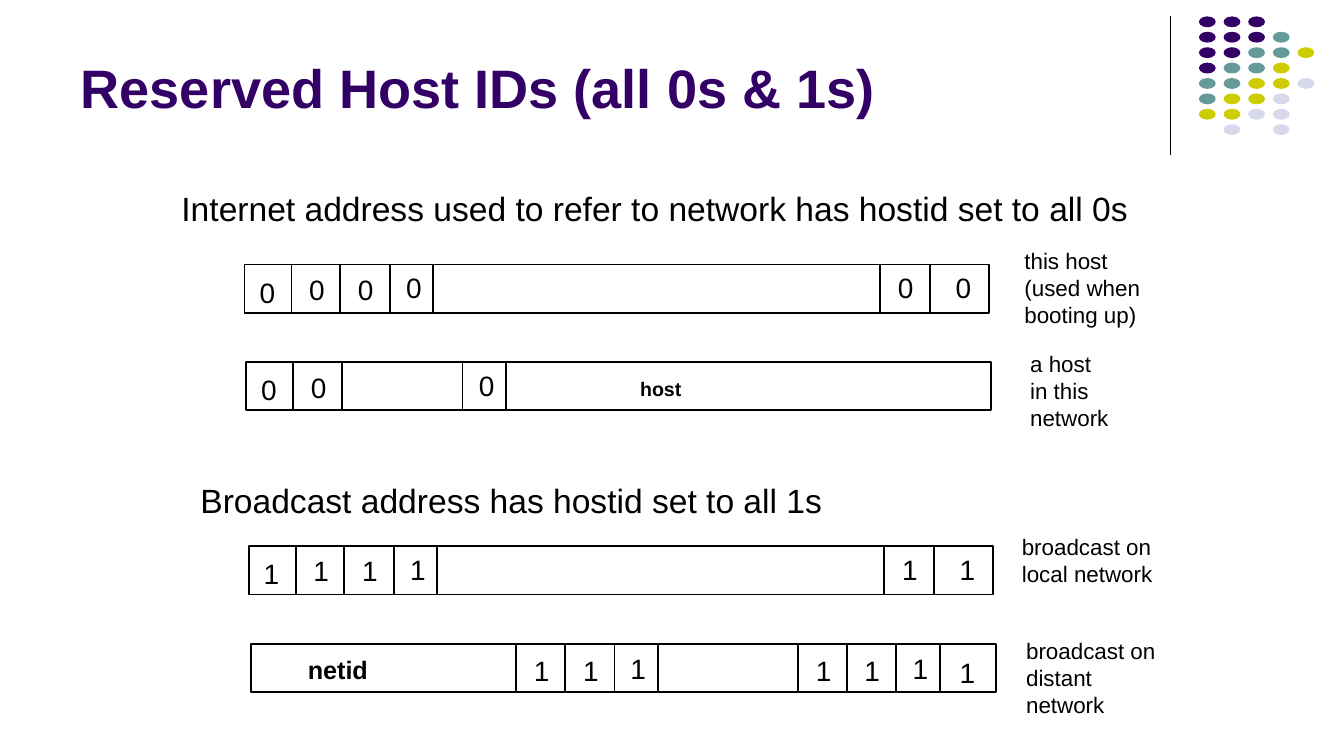
from dataclasses import dataclass

from lxml import etree
from pptx import Presentation
from pptx.dml.color import RGBColor
from pptx.enum import shapes, text
from pptx.oxml import ns
from pptx.util import Pt


@dataclass(frozen=True)
class Theme:
    font: str = "Arial"
    ink: str = "000000"
    plum: str = "330066"
    teal: str = "669999"
    lime: str = "CCCC00"
    mist: str = "D8D8EC"
    title: float = 29
    lead: float = 18
    digit: float = 15
    netid: float = 13.5
    note: float = 12
    host: float = 10.5


theme = Theme()


def style(frame, size, color=theme.ink, bold=False):
    for par in frame.paragraphs:
        for run in par.runs:
            run.font.name = theme.font
            run.font.size = Pt(size)
            run.font.bold = bold
            run.font.color.rgb = RGBColor.from_string(color)


def label(slide, box, words, size, bold=False, wrap=False):
    frame = slide.shapes.add_textbox(*map(Pt, box)).text_frame
    frame.margin_left = frame.margin_right = Pt(5.2)
    frame.margin_top = frame.margin_bottom = Pt(2.7)
    frame.word_wrap = wrap
    frame.text = words
    style(frame, size, bold=bold)


def rule(slide, x, top, end, width):
    line = slide.shapes.add_connector(
        shapes.MSO_CONNECTOR.STRAIGHT, Pt(x), Pt(top), Pt(x), Pt(end))
    line.line.width = Pt(width)
    line.line.color.rgb = RGBColor.from_string(theme.ink)
    etree.SubElement(line._element.spPr, ns.qn("a:effectLst"))


def heading(slide, box, words):
    title = slide.shapes.title
    title.left, title.top, title.width, title.height = map(Pt, box)
    frame = title.text_frame
    frame.auto_size = text.MSO_AUTO_SIZE.NONE
    frame.vertical_anchor = text.MSO_ANCHOR.BOTTOM
    frame.text = words
    frame.paragraphs[0].alignment = text.PP_ALIGN.LEFT
    style(frame, theme.title, theme.plum, True)


def corner(slide, box):
    """Vertical rule with a grid of coloured dots beside it."""
    left, top, _, height = box
    rule(slide, left, top, top + height, 0.75)
    hues = {"P": theme.plum, "T": theme.teal, "Y": theme.lime, "L": theme.mist}
    rows = ("PPP", "PPPT", "PPTTY", "PTTY", "TTYYL", "TYYL", "YYLL", " L L")
    for r, row in enumerate(rows):
        for c, key in enumerate(row):
            if key not in hues:
                continue
            dot = slide.shapes.add_shape(
                shapes.MSO_SHAPE.OVAL, Pt(left + 15.2 + 13.2 * c),
                Pt(top + 8.25 * r), Pt(9), Pt(5.8))
            dot.shadow.inherit = False
            dot.fill.solid()
            dot.fill.fore_color.rgb = RGBColor.from_string(hues[key])
            dot.line.fill.background()


def address(slide, box, digit, marks, cells, field=None):
    """Address bar: marks are divider offsets, cells are digit offsets."""
    left, top, _, height = box
    bar = slide.shapes.add_shape(shapes.MSO_SHAPE.RECTANGLE, *map(Pt, box))
    bar.shadow.inherit = False
    bar.fill.background()
    bar.line.width = Pt(1)
    bar.line.color.rgb = RGBColor.from_string(theme.ink)
    for x in marks:
        rule(slide, left + x, top, top + height + 0.4, 1)
    for x, y in cells:
        label(slide, (left + x, top + y, 19.4, 23.8), digit, theme.digit)
    if field:
        words, x, y, width, size = field
        label(slide, (left + x, top + y, width, 20), words, size, bold=True)


def main():
    deck = Presentation()
    deck.slide_width, deck.slide_height = Pt(720), Pt(405)
    slide = deck.slides.add_slide(deck.slide_layouts[5])

    # Title and corner ornament
    corner(slide, (627.1, 8.8, 80, 74))
    heading(slide, (36, 7.2, 594, 60.5), "Reserved Host IDs (all 0s & 1s)")

    # Lead lines
    label(slide, (92, 98.1, 538, 28.8), "Internet address used to refer to "
          "network has hostid set to all 0s", theme.lead)
    label(slide, (102.2, 254.6, 448.6, 22.3),
          "Broadcast address has hostid set to all 1s", theme.lead)

    # Address bars
    wide, high = 399, 26
    marks = (25.2, 51.3, 77.8, 100.8, 340.6, 367.2)
    cells = ((2.9, 3), (29.5, 1.6), (55.6, 1.6),
             (81.4, 0.7), (344.9, 0.7), (375.8, 0.7))
    address(slide, (131, 141.7, wide, high), "0", marks, cells)
    address(slide, (131.9, 193.8, wide, high), "0", (25.2, 51.3, 115.9, 139),
            ((2.9, 3), (29.5, 2), (119.5, 0.7)),
            ("host", 205.9, 5.6, 33, theme.host))
    address(slide, (133.2, 292.5, wide, high), "1", marks, cells)
    address(slide, (134.6, 344.8, wide, high), "1",
            (141.8, 168.3, 194.6, 218, 293, 319.1, 345.6, 368.8),
            ((146.2, 2.4), (172.6, 2.4), (198, 1.5), (297.3, 2.4),
             (323.3, 2.4), (349.2, 1.5), (374.4, 3.8)),
            ("netid", 25.2, 3, 43, theme.netid))

    # Notes beside the bars
    notes = (((543.6, 129.6, 73.4, 49), "this host\n(used when\nbooting up)", False),
             ((546.7, 185, 53.3, 49), "a host\nin this\nnetwork", False),
             ((542.2, 283, 87.8, 34.6), "broadcast on local network", True),
             ((544.5, 338.8, 85.7, 49), "broadcast on distant network", True))
    for box, words, wrap in notes:
        label(slide, box, words, theme.note, wrap=wrap)

    deck.save("out.pptx")


if __name__ == "__main__":
    main()
